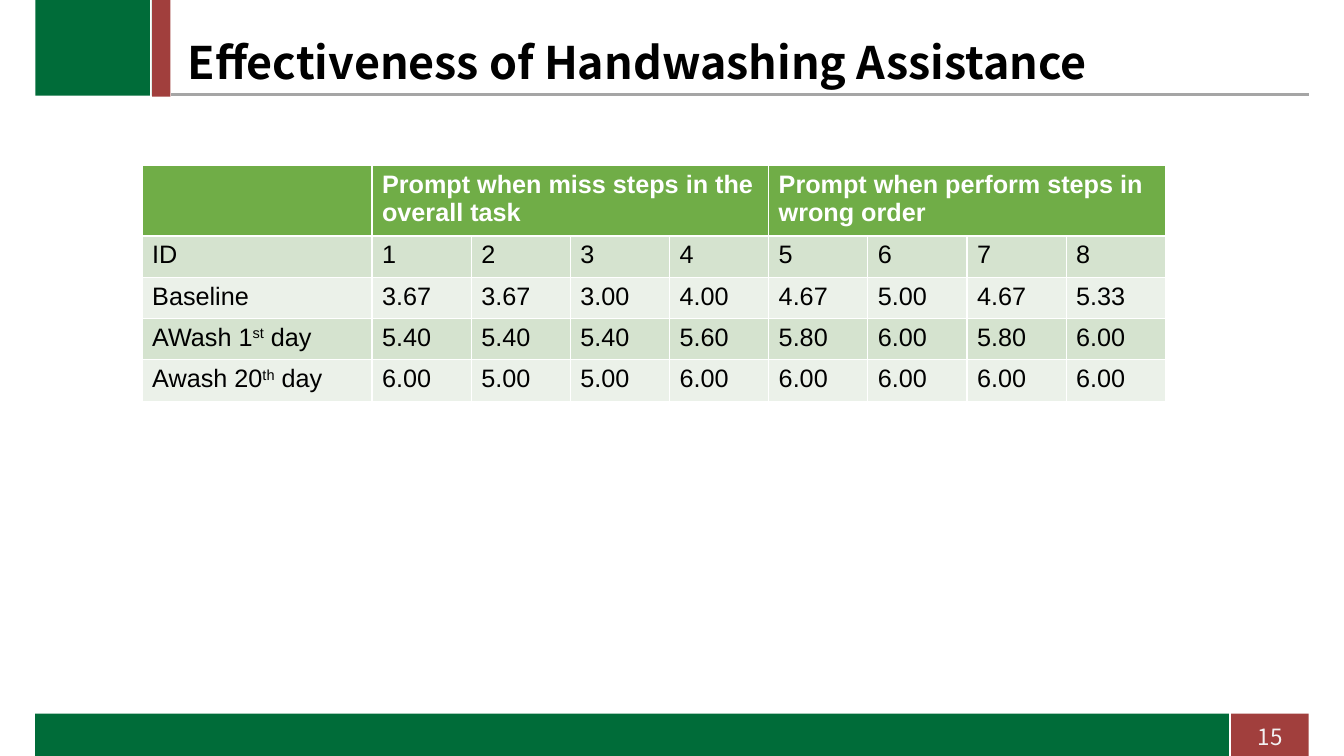
from lxml import etree
from pptx import Presentation
from pptx import util as u
from pptx.dml.color import RGBColor
from pptx.enum import shapes, text
from pptx.oxml import ns

GREEN = RGBColor(0x00, 0x6C, 0x39)
RED = RGBColor(0xA1, 0x3F, 0x3D)
GRAY = RGBColor(0xA5, 0xA5, 0xA5)
WHITE = RGBColor(0xFF, 0xFF, 0xFF)
BLACK = RGBColor(0x00, 0x00, 0x00)
PALE = RGBColor(0xF2, 0xF2, 0xF2)
HEADER = RGBColor(0x70, 0xAD, 0x47)
BANDS = [RGBColor(0xD5, 0xE3, 0xCF), RGBColor(0xEB, 0xF1, 0xE9)]
HEADING_FONT = "Noto Sans CJK SC"


def add_span(para, words, color, **formats):
    span = para.add_run()
    span.text = words
    span.font.color.rgb = color
    for name, value in formats.items():
        setattr(span.font, name, value)
    return span


deck = Presentation()
deck.slide_width, deck.slide_height = u.Inches(13.33), u.Inches(7.5)
page = deck.slides.add_slide(deck.slide_layouts.get_by_name("Title Only"))

# Header and footer blocks
blocks = [
    (12.2, 7.08, 0.78, 0.42, RED),
    (0.35, 0, 1.15, 0.95, GREEN),
    (0.35, 7.08, 11.86, 0.42, GREEN),
    (1.51, 0, 0.18, 0.96, RED),
]
for *place, color in blocks:
    block = page.shapes.add_shape(shapes.MSO_SHAPE.RECTANGLE, *map(u.Inches, place))
    block.shadow.inherit = False
    block.fill.solid()
    block.fill.fore_color.rgb = color
    block.line.fill.background()

# Rule under the title and white dividers between blocks
rules = [
    (1.7, 0.94, 12.98, 0.94, GRAY, 2.25),
    (1.49, -0.02, 1.49, 1.16, WHITE, 1),
    (12.2, 6.69, 12.2, 7.52, WHITE, 1),
]
for *ends, color, width in rules:
    rule = page.shapes.add_connector(shapes.MSO_CONNECTOR.STRAIGHT, *map(u.Inches, ends))
    rule.line.color.rgb = color
    rule.line.width = u.Pt(width)
    etree.SubElement(rule._element.spPr, ns.qn("a:effectLst"))

# Title
title = page.shapes.title
title_place = {"left": 1.76, "top": 0.35, "width": 9.45, "height": 0.59}
for name, value in title_place.items():
    setattr(title, name, u.Inches(value))
title.text_frame.vertical_anchor = text.MSO_ANCHOR.MIDDLE
title.text_frame.auto_size = text.MSO_AUTO_SIZE.NONE
para = title.text_frame.paragraphs[0]
para.alignment = text.PP_ALIGN.LEFT
para.line_spacing = 0.9
add_span(para, "Effectiveness of Handwashing Assistance", BLACK,
         name=HEADING_FONT, size=u.Pt(32), bold=True)

# Page number
box = page.shapes.add_textbox(*map(u.Inches, (12.3, 7.12, 0.6, 0.37)))
box.text_frame.word_wrap = True
box.text_frame.vertical_anchor = text.MSO_ANCHOR.MIDDLE
para = box.text_frame.paragraphs[0]
para.alignment = text.PP_ALIGN.CENTER
add_span(para, "15", PALE, name=HEADING_FONT, size=u.Pt(16))

# Results table: a caret sets off a superscript ending
rows = [
    ["", "Prompt when miss steps in the overall task", "", "", "",
     "Prompt when perform steps in wrong order", "", "", ""],
    ["ID", "1", "2", "3", "4", "5", "6", "7", "8"],
    ["Baseline", "3.67", "3.67", "3.00", "4.00", "4.67", "5.00", "4.67", "5.33"],
    ["AWash 1^st^ day", "5.40", "5.40", "5.40", "5.60", "5.80", "6.00", "5.80", "6.00"],
    ["Awash 20^th^ day", "6.00", "5.00", "5.00", "6.00", "6.00", "6.00", "6.00", "6.00"],
]
label_width, table_width, row_height = 2.28, 10.15, 0.41
table = page.shapes.add_table(
    len(rows), len(rows[0]), u.Inches(1.41), u.Inches(1.64),
    u.Inches(table_width), u.Inches(row_height * len(rows))).table
for index, column in enumerate(table.columns):
    column.width = u.Inches((table_width - label_width) / 8 if index else label_width)
for first in (1, 5):
    table.cell(0, first).merge(table.cell(0, first + 3))

for r, row in enumerate(rows):
    table.rows[r].height = u.Inches(row_height)
    for c, words in enumerate(row):
        cell = table.cell(r, c)
        cell.fill.solid()
        cell.fill.fore_color.rgb = BANDS[(r - 1) % 2] if r else HEADER
        if not words:
            continue
        for part, piece in enumerate(words.split("^")):
            span = add_span(cell.text_frame.paragraphs[0], piece, BLACK if r else WHITE,
                            name="Arial", size=u.Pt(18), bold=r == 0)
            if part == 1:
                span.font._element.set("baseline", "30000")

deck.save("out.pptx")
